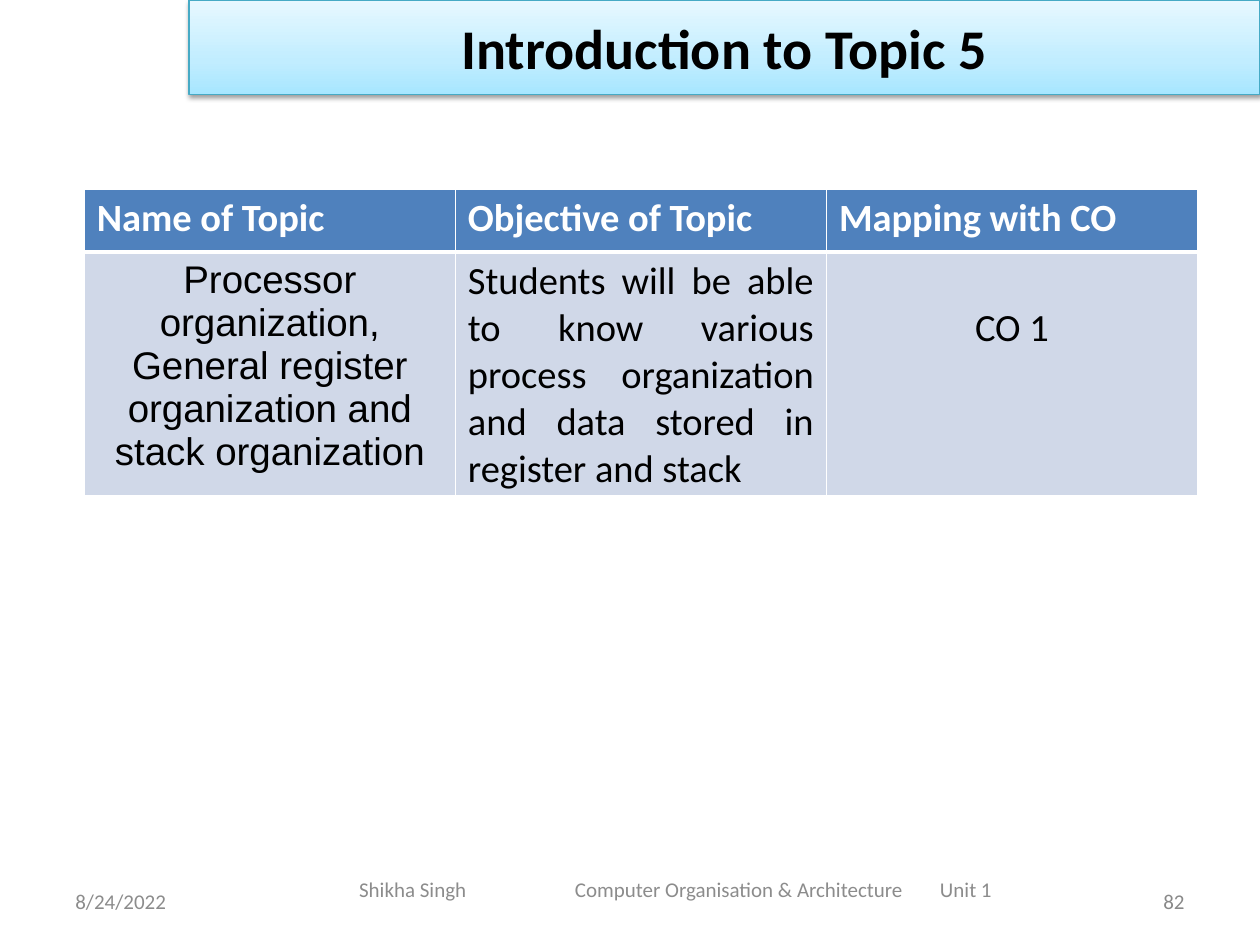
from lxml import etree
from pptx import Presentation
from pptx.dml.color import RGBColor
from pptx.enum.shapes import MSO_SHAPE
from pptx.enum.text import MSO_ANCHOR, PP_ALIGN
from pptx.oxml import parse_xml
from pptx.oxml.ns import qn
from pptx.util import Cm, Pt

RECT = MSO_SHAPE.RECTANGLE
TOP, MIDDLE = MSO_ANCHOR.TOP, MSO_ANCHOR.MIDDLE
LEFT, CENTER, RIGHT, JUSTIFY = (PP_ALIGN.LEFT, PP_ALIGN.CENTER,
                                PP_ALIGN.RIGHT, PP_ALIGN.JUSTIFY)

BLACK = RGBColor(0x00, 0x00, 0x00)
WHITE = RGBColor(0xFF, 0xFF, 0xFF)
GREY = RGBColor(0x8C, 0x8C, 0x8C)
PAGE_GREY = RGBColor(0x89, 0x89, 0x89)
BLUE = RGBColor(0x4F, 0x81, 0xBD)
PALE_BLUE = RGBColor(0xD0, 0xD8, 0xE8)
TEAL = RGBColor(0x46, 0xAA, 0xC5)
BANNER_STOPS = [(0, "A7E6FF"), (35, "C1EDFF"), (100, "E7F8FF")]

NS = 'xmlns:a="http://schemas.openxmlformats.org/drawingml/2006/main"'


class SlideBuilder:
    def __init__(self, slide, font="Calibri"):
        self.s = slide
        self.font = font

    def add_text(self, tf, text, size, color, align=LEFT, bold=False, font=None):
        p = tf.paragraphs[0]
        p.alignment = align
        r = p.add_run()
        r.text = text
        r.font.name = font or self.font
        r.font.size = Pt(size)
        r.font.bold = bold
        r.font.color.rgb = color
        return p

    def footer(self, x, w, text, color=GREY, align=LEFT, anchor=MIDDLE, tabs=()):
        sp = self.s.shapes.add_textbox(Cm(x), Cm(17.65), Cm(w), Cm(1.02))
        tf = sp.text_frame
        tf.word_wrap = True
        tf.vertical_anchor = anchor
        if anchor == TOP:
            tf.margin_top = Cm(0.03)
        p = self.add_text(tf, text, 12, color, align)
        if tabs:
            tab_list = etree.SubElement(p._p.get_or_add_pPr(), qn("a:tabLst"))
            for pos in tabs:
                etree.SubElement(tab_list, qn("a:tab"), pos=str(Cm(pos)), algn="l")

    def banner(self, x, y, w, h, text):
        sp = self.s.shapes.add_shape(RECT, Cm(x), Cm(y), Cm(w), Cm(h))
        sp.line.color.rgb = TEAL
        sp.line.width = Pt(0.75)
        # Gradient running upwards, and a soft shadow below
        stops = "".join(f'<a:gs pos="{pos * 1000}"><a:srgbClr val="{c}"/></a:gs>'
                        for pos, c in BANNER_STOPS)
        ln = sp._element.spPr.find(qn("a:ln"))
        ln.addprevious(parse_xml(
            f'<a:gradFill {NS} rotWithShape="1"><a:gsLst>{stops}</a:gsLst>'
            '<a:lin ang="16200000" scaled="0"/></a:gradFill>'))
        ln.addnext(parse_xml(
            f'<a:effectLst {NS}><a:outerShdw blurRad="{Pt(3.1)}" dist="{Pt(1.6)}" '
            'dir="5400000" rotWithShape="0"><a:srgbClr val="000000">'
            '<a:alpha val="38000"/></a:srgbClr></a:outerShdw></a:effectLst>'))
        tf = sp.text_frame
        tf.word_wrap = True
        tf.vertical_anchor = MIDDLE
        self.add_text(tf, text, 32, BLACK, CENTER, bold=True)

    def cell(self, cell, fill, text, color, thick_side, **style):
        tcPr = cell._tc.get_or_add_tcPr()
        for side in ("lnL", "lnR", "lnT", "lnB"):
            width = Pt(3 if side == thick_side else 1)
            tcPr.append(parse_xml(
                f'<a:{side} {NS} w="{width}"><a:solidFill>'
                f'<a:srgbClr val="{WHITE}"/></a:solidFill></a:{side}>'))
        cell.fill.solid()
        cell.fill.fore_color.rgb = fill
        self.add_text(cell.text_frame, text, 22, color, **style)

    def table(self, x, y, col_w, row_h, headers, body):
        w, h = col_w * len(headers), sum(row_h)
        tbl = self.s.shapes.add_table(2, len(headers), Cm(x), Cm(y),
                                      Cm(w), Cm(h)).table
        for row, height in zip(tbl.rows, row_h):
            row.height = Cm(height)
        for i, (header, (text, style)) in enumerate(zip(headers, body)):
            tbl.columns[i].width = Cm(col_w)
            self.cell(tbl.cell(0, i), BLUE, header, WHITE, "lnB", bold=True)
            self.cell(tbl.cell(1, i), PALE_BLUE, text, BLACK, "lnT", **style)
        return tbl


def main():
    prs = Presentation()
    prs.slide_width, prs.slide_height = Cm(25.4), Cm(19.05)
    b = SlideBuilder(prs.slides.add_slide(prs.slide_layouts[6]))

    # Footer
    b.footer(1.27, 5.93, "8/24/2022")
    b.footer(6.99, 13.97,
             "Shikha Singh\tComputer Organisation & Architecture\tUnit 1",
             anchor=TOP, tabs=(4.35, 11.71))
    b.footer(18.2, 5.93, "82", PAGE_GREY, RIGHT)

    # Title
    b.banner(3.81, 0, 21.59, 1.9, "Introduction to Topic 5")

    # Topic table
    tbl = b.table(
        1.7, 3.81, 7.48, (1.27, 4.92),
        ["Name of Topic", "Objective of Topic", "Mapping with CO"],
        [("Processor organization, General register organization and "
          "stack organization", {"align": CENTER, "font": "Arial"}),
         ("Students will be able to know various process organization and "
          "data stored in register and stack", {"align": JUSTIFY}),
         ("CO 1", {"align": CENTER})])
    tbl.cell(1, 2).margin_top = Cm(1.07)

    prs.save("out.pptx")


if __name__ == "__main__":
    main()
